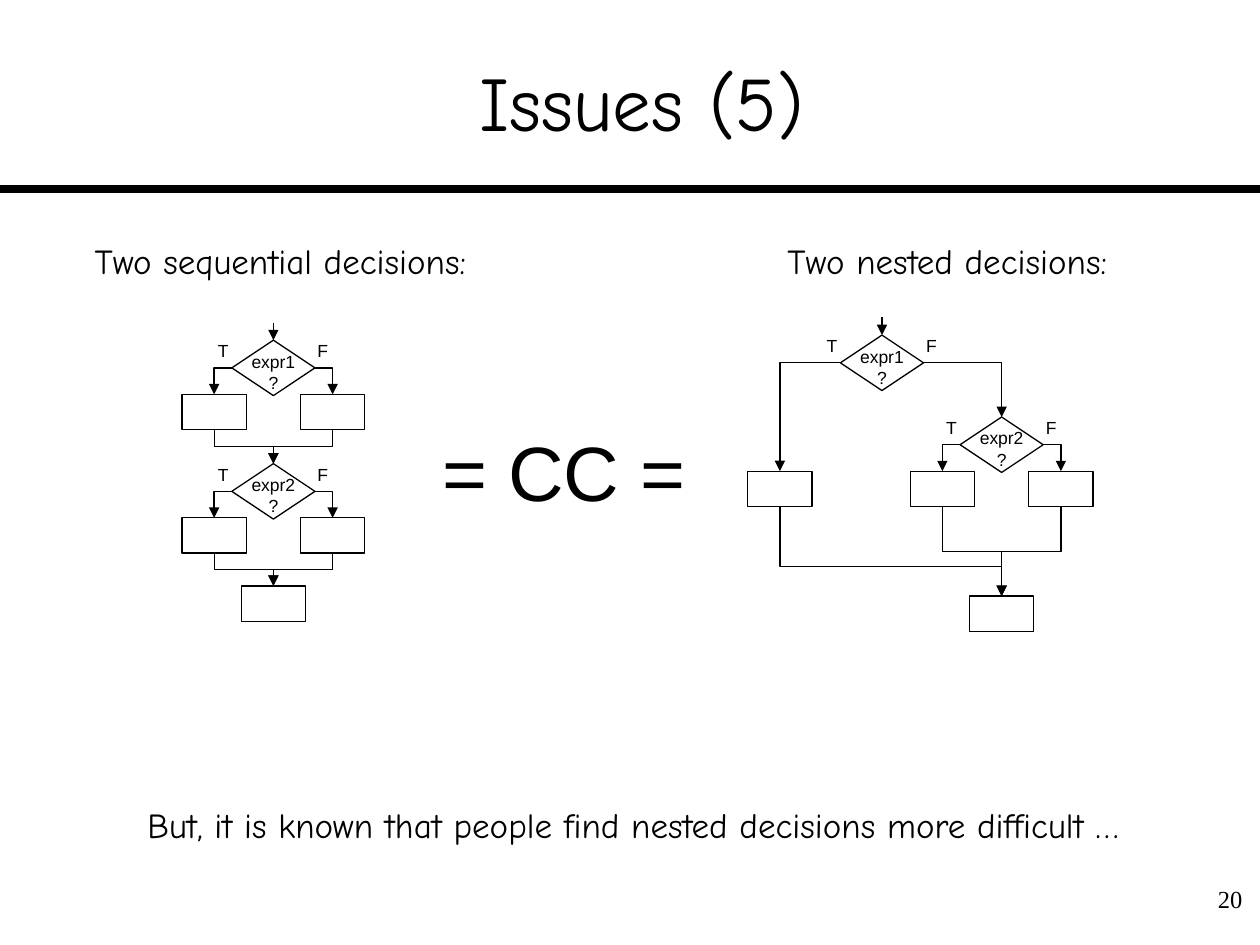
from pptx import Presentation
from pptx import util as u
from pptx.dml.color import RGBColor
from pptx.enum import shapes, text
from pptx.oxml.ns import qn
from lxml import etree

BLACK, WHITE = "000000", "FFFFFF"
HAND, SANS, SERIF = "Comic Neue", "Arial", "Times New Roman"

# Label, left, top, width, height, size, font
CAPTIONS = [
    ("= CC =", 3.5, 3.37, 2.13, 0.73, 44, SANS),
    ("But, it is known that people find nested decisions more difficult …",
     1.16, 6.38, 7.75, 0.33, 20, HAND),
    ("Two sequential decisions:", 0.74, 1.9, 2.98, 0.33, 20, HAND),
    ("Two nested decisions:", 6.24, 1.9, 2.57, 0.33, 20, HAND),
]
# Label, centre, top of each decision
SEQUENTIAL = [("expr1", 2.17, 2.7), ("expr2", 2.17, 3.68)]
SEQUENTIAL_END = (2.17, 4.65)
OUTER, INNER = ("expr1", 7, 2.66), ("expr2", 7.95, 3.31)
OUTER_BRANCH = (6.19, 3.74)
NESTED_END = (7.95, 4.73)

DIAMOND_W, DIAMOND_H = 0.66, 0.44
BOX_W, BOX_H = 0.51, 0.28
BRANCH_DX, BRANCH_DY = 0.47, 0.43
ENTRY = 0.14

deck = Presentation()
deck.slide_width, deck.slide_height = u.Inches(10), u.Inches(7.5)
slide = deck.slides.add_slide(deck.slide_layouts[6])


def color(value):
    return RGBColor.from_string(value)


def write(box, content, size=10, font=SANS, align=text.PP_ALIGN.LEFT,
          anchor=text.MSO_ANCHOR.TOP, wrap=False, grow=False,
          insets=(0.01, 0, 0.01, 0)):
    """Fill a box with one paragraph per line of content."""
    frame = box.text_frame
    frame.word_wrap = wrap
    frame.vertical_anchor = anchor
    frame.auto_size = (text.MSO_AUTO_SIZE.SHAPE_TO_FIT_TEXT if grow
                       else text.MSO_AUTO_SIZE.NONE)
    (frame.margin_left, frame.margin_top,
     frame.margin_right, frame.margin_bottom) = map(u.Inches, insets)
    for index, line in enumerate(content.split("\n")):
        para = frame.add_paragraph() if index else frame.paragraphs[0]
        para.alignment = align
        span = para.add_run()
        span.text = line
        span.font.size, span.font.name = u.Pt(size), font
        span.font.color.rgb = color(BLACK)


def label(content, left, top, width, height, **format):
    box = slide.shapes.add_textbox(*map(u.Inches, (left, top, width, height)))
    write(box, content, **format)


def block(kind, center, top, width, height):
    shape = slide.shapes.add_shape(
        kind, *map(u.Inches, (center - width / 2, top, width, height)))
    shape.shadow.inherit = False
    shape.fill.solid()
    shape.fill.fore_color.rgb = color(WHITE)
    shape.line.color.rgb = color(BLACK)
    shape.line.width = u.Pt(0.75)
    return shape


def process(center, top):
    block(shapes.MSO_SHAPE.FLOWCHART_PROCESS, center, top, BOX_W, BOX_H)


def connect(start, end, kind=shapes.MSO_CONNECTOR.STRAIGHT, width=0.75, arrow=True):
    line = slide.shapes.add_connector(kind, *map(u.Inches, (*start, *end)))
    line.line.color.rgb = color(BLACK)
    line.line.width = u.Pt(width)
    if arrow:
        etree.SubElement(line.line._get_or_add_ln(), qn("a:tailEnd"), type="triangle")
    etree.SubElement(line._element.spPr, qn("a:effectLst"))
    return line


def branch(start, end):
    """Arrow that runs sideways, then down."""
    line = connect(start, end, shapes.MSO_CONNECTOR.ELBOW)
    line._element.spPr.find(qn("a:prstGeom")).set("prst", "bentConnector2")


def merge(start, end, bend=0.5):
    """Arrow that runs down, sideways at the bend, then down again."""
    line = connect(start, end, shapes.MSO_CONNECTOR.ELBOW)
    (x1, y1), (x2, y2) = start, end
    across, down = abs(x2 - x1), y2 - y1
    # The elbow runs sideways first, so it is turned a quarter about its centre
    line.left = u.Inches((x1 + x2 - down) / 2)
    line.top = u.Inches((y1 + y2 - across) / 2)
    line.width, line.height = u.Inches(down), u.Inches(across)
    rightward = x2 > x1
    frame = line._element.spPr.find(qn("a:xfrm"))
    frame.set("rot", str((270 if rightward else 90) * 60000))
    frame.set("flipH", "1" if rightward else "0")
    geometry = line._element.spPr.find(qn("a:prstGeom"))
    guides = geometry.find(qn("a:avLst"))
    etree.SubElement(guides, qn("a:gd"), name="adj1", fmla=f"val {round(bend * 100000)}")


def decision(name, center, top):
    """Draw the diamond with its T and F marks."""
    diamond = block(shapes.MSO_SHAPE.FLOWCHART_DECISION, center, top, DIAMOND_W, DIAMOND_H)
    write(diamond, f"{name}\n?", align=text.PP_ALIGN.CENTER,
          anchor=text.MSO_ANCHOR.MIDDLE, insets=(0.1, 0.06, 0.1, 0))
    for mark, dx in (("T", -0.45), ("F", 0.34)):
        label(mark, center + dx, top, 0.11, 0.17, grow=True)
    return diamond


def side(center, top, direction):
    """Left (-1) or right (1) corner of a decision."""
    return center + direction * DIAMOND_W / 2, top + DIAMOND_H / 2


def enter(diamond, center, top):
    arrow = connect((center, top - ENTRY), (center, top))
    arrow.end_connect(diamond, 0)


def full_decision(name, center, top, target):
    """Draw a decision, its two outcomes and their merge into the target."""
    diamond = decision(name, center, top)
    for direction in (-1, 1):
        outcome = center + direction * BRANCH_DX, top + BRANCH_DY
        branch(side(center, top, direction), outcome)
        process(*outcome)
        merge((outcome[0], outcome[1] + BOX_H), target)
    return diamond


connect((0, 1.5), (10, 1.5), width=4.5, arrow=False)
label("20", 9.45, 6.97, 0.51, 0.5, size=14, font=SERIF, wrap=True,
      align=text.PP_ALIGN.RIGHT, insets=(0.1, 0.05, 0.1, 0.05))
label("Issues (5)", 0.35, 0.17, 9.49, 1.25, size=44, font=HAND, wrap=True,
      align=text.PP_ALIGN.CENTER, anchor=text.MSO_ANCHOR.MIDDLE,
      insets=(0.1, 0.05, 0.1, 0.05))
for content, left, top, width, height, size, font in CAPTIONS:
    label(content, left, top, width, height, size=size, font=font, grow=True)

targets = [step[1:] for step in SEQUENTIAL[1:]] + [SEQUENTIAL_END]
diamonds = [full_decision(*step, target) for step, target in zip(SEQUENTIAL, targets)]
enter(diamonds[0], *SEQUENTIAL[0][1:])
process(*SEQUENTIAL_END)

enter(decision(*OUTER), *OUTER[1:])
full_decision(*INNER, NESTED_END)
branch(side(*OUTER[1:], -1), OUTER_BRANCH)
branch(side(*OUTER[1:], 1), INNER[1:])
process(*OUTER_BRANCH)
merge((OUTER_BRANCH[0], OUTER_BRANCH[1] + BOX_H), NESTED_END, bend=0.67)
process(*NESTED_END)

deck.save("out.pptx")
